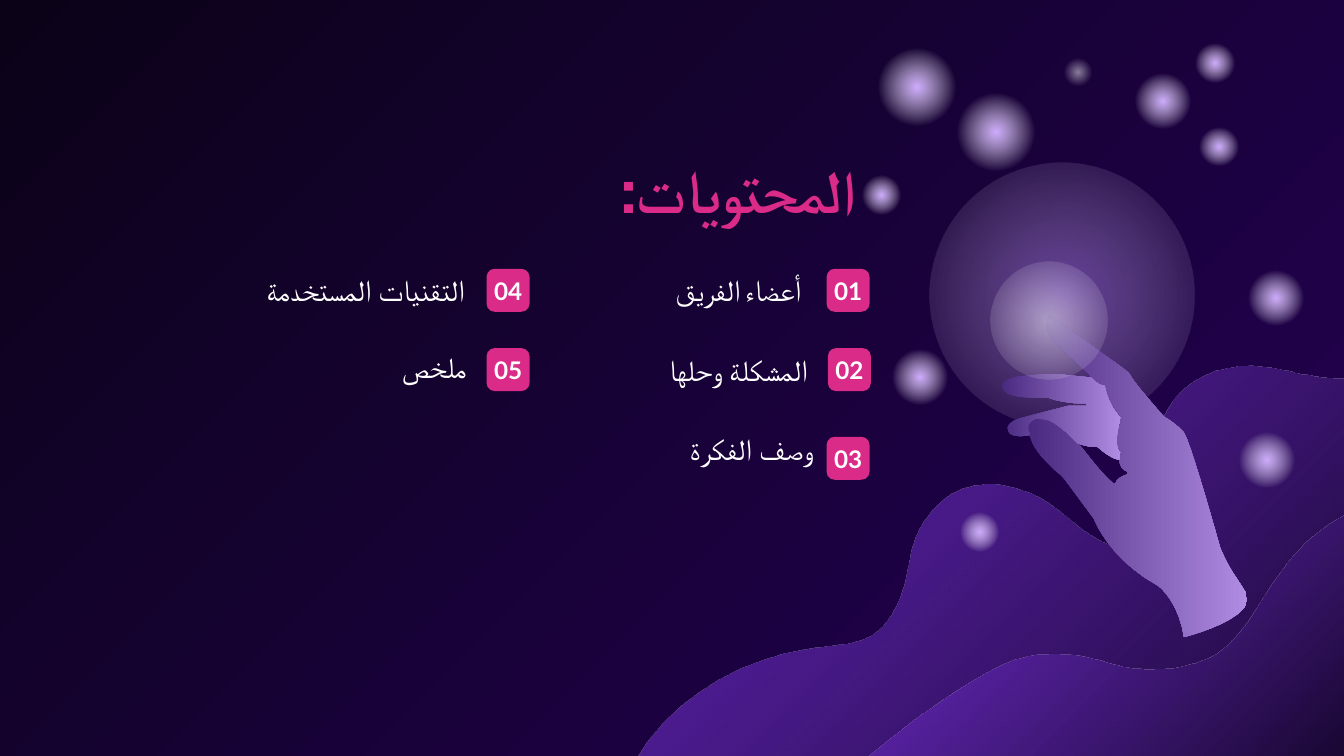
from dataclasses import dataclass

from lxml.etree import SubElement
from pptx import Presentation
from pptx.dml.color import RGBColor
from pptx.enum.shapes import MSO_SHAPE
from pptx.enum.text import MSO_ANCHOR, PP_ALIGN
from pptx.oxml.ns import qn
from pptx.util import Emu, Inches, Pt

FONT = "Lato"
PINK, WHITE, LILAC = "DA2B89", "FFFFFF", "CEABFF"
NIGHT, INDIGO, VIOLET = "0B0218", "240155", "8134EC"
SHADE, LIGHT = "4A2A80", "B08CE2"
CURVE_STEPS = 10

BACK_WAVE = [
    (1042, 265), (1033, 271, 1021, 278, 1011, 280), (995, 283, 979, 280, 963, 277),
    (952, 274, 940, 272, 929, 272), (901, 272, 877, 285, 865, 311),
    (853, 338, 870, 368, 853, 394), (834, 423, 805, 393, 787, 379),
    (767, 363, 733, 352, 708, 367), (697, 374, 687, 386, 682, 398),
    (676, 412, 676, 427, 671, 441), (667, 453, 658, 469, 645, 474),
    (631, 480, 616, 480, 602, 482), (543, 491, 487, 527, 464, 583),
    (461, 590, 457, 601, 458, 609), (1084, 609), (1075, 227),
    (1071, 240, 1053, 257, 1042, 265),
]
FRONT_WAVE = [
    (994, 387), (972, 400, 959, 416, 945, 437), (933, 455, 923, 475, 904, 487),
    (883, 498, 852, 501, 828, 494), (804, 486, 774, 482, 749, 493),
    (724, 504, 701, 521, 678, 537), (664, 548, 650, 559, 636, 571),
    (1074, 571), (1075, 368), (1070, 367, 1065, 366, 1059, 366),
    (1037, 366, 1012, 376, 994, 387),
]
PALM = [
    (881, 322), (886, 329, 908, 408, 908, 408), (915, 424, 917, 425, 927, 441),
    (937, 460, 881, 474, 881, 474), (877, 447, 862, 436, 862, 436),
    (825, 416, 814, 386, 814, 386), (814, 386, 800, 367, 794, 359),
    (792, 356, 789, 353, 785, 350), (778, 343, 769, 335, 766, 324),
    (763, 317, 767, 313, 770, 312), (772, 311, 775, 312, 777, 312),
    (785, 313, 796, 324, 802, 330), (804, 332, 805, 333, 805, 333),
    (828, 363, 830, 360, 830, 360), (831, 355, 839, 353, 839, 353),
    (839, 352, 839, 351, 839, 351), (834, 349, 833, 345, 833, 342),
    (833, 339, 834, 337, 834, 337), (827, 332, 834, 311, 834, 311),
    (824, 301, 822, 287, 822, 287), (818, 287, 814, 283, 812, 281),
    (811, 280, 811, 279, 811, 279), (811, 279, 788, 258, 783, 253),
    (775, 244, 781, 234, 781, 234), (796, 245), (796, 245, 823, 265, 826, 267),
    (830, 270, 838, 275, 841, 279), (843, 284, 866, 310, 866, 310),
    (875, 315, 880, 321, 881, 322),
]
FINGERS = [
    (834, 311), (834, 311, 827, 332, 834, 337), (834, 337, 833, 339, 833, 342),
    (827, 342, 816, 332, 816, 332), (813, 333, 808, 332, 802, 330),
    (796, 324, 785, 313, 777, 312), (775, 312, 772, 311, 770, 312),
    (767, 313, 763, 317, 766, 322), (766, 324), (758, 325, 751, 325, 750, 320),
    (748, 314, 760, 311, 760, 311), (795, 302), (809, 302), (808, 300),
    (804, 301, 787, 299, 780, 296), (764, 296, 749, 296, 746, 289),
    (743, 282, 759, 280, 759, 280), (783, 278), (812, 281),
    (814, 283, 818, 287, 822, 287), (822, 287, 824, 301, 834, 311),
]
ORBS = [
    (646, 29, 72), (840, 50, 51), (886, 29, 36), (659, 255, 51), (711, 378, 36),
    (638, 127, 36), (917, 317, 51), (705, 62, 72), (924, 196, 51), (889, 91, 36),
]
TOPICS = [
    ("01", "أعضاء الفريق", (468, 81), (318, 88, 140), 12.2),
    ("02", "المشكلة وحلها", (469, 140), (324, 147, 140), 16),
    ("03", "وصف الفكرة", (468, 206), (302, 206, 166), 16),
    ("04", "التقنيات المستخدمة", (215, 81), (0, 88, 209), 16),
    ("05", "ملخص", (215, 140), (121, 145, 89), 16),
]


@dataclass
class Box:
    left: int
    top: int
    width: int
    height: int
    columns: float
    rows: float

    def point(self, column, row):
        return (Emu(round(self.left + self.width * column / self.columns)),
                Emu(round(self.top + self.height * row / self.rows)))

    def area(self, column, row, columns, rows):
        return (*self.point(column, row),
                Emu(round(self.width * columns / self.columns)),
                Emu(round(self.height * rows / self.rows)))


def color(hex_text):
    return RGBColor.from_string(hex_text)


def paint_gradient(target, fill, stops, angle=None):
    fill.gradient()
    gradient = target.element.find(".//" + qn("a:gradFill"))
    for child in list(gradient):
        gradient.remove(child)
    gradient.set("rotWithShape", "1")
    stop_list = SubElement(gradient, qn("a:gsLst"))
    for position, tone, opacity in stops:
        stop = SubElement(stop_list, qn("a:gs"), pos=str(position * 1000))
        shade = SubElement(stop, qn("a:srgbClr"), val=tone)
        if opacity < 100:
            SubElement(shade, qn("a:alpha"), val=str(opacity * 1000))
    if angle is None:
        circle = SubElement(gradient, qn("a:path"), path="circle")
        SubElement(circle, qn("a:fillToRect"), l="50000", t="50000", r="50000", b="50000")
    else:
        SubElement(gradient, qn("a:lin"), ang=str(angle * 60000), scaled="0")


def clear_edges(shape):
    shape.shadow.inherit = False
    shape.line.fill.background()


def flatten(outline):
    points = [outline[0]]
    for segment in outline[1:]:
        if len(segment) == 2:
            points.append(segment)
            continue
        nodes = [points[-1], segment[:2], segment[2:4], segment[4:]]
        for step in range(1, CURVE_STEPS + 1):
            t = step / CURVE_STEPS
            weights = ((1 - t) ** 3, 3 * t * (1 - t) ** 2, 3 * t * t * (1 - t), t ** 3)
            points.append(tuple(sum(w * node[axis] for w, node in zip(weights, nodes))
                                for axis in (0, 1)))
    return points


def add_outline(page, box, outline, stops, angle):
    points = [box.point(*point) for point in flatten(outline)]
    builder = page.shapes.build_freeform(*points[0])
    builder.add_line_segments(points[1:], close=True)
    shape = builder.convert_to_shape()
    clear_edges(shape)
    paint_gradient(shape, shape.fill, stops, angle)


def add_glow(page, box, left, top, size, tone=LILAC, opacity=100, fade=57):
    shape = page.shapes.add_shape(MSO_SHAPE.OVAL, *box.area(left, top, size, size))
    clear_edges(shape)
    stops = [(0, tone, opacity), (fade, WHITE, 0), (100, WHITE, 0)]
    paint_gradient(shape, shape.fill, stops)


def write(shape, text, size, tone=WHITE, bold=False, align=PP_ALIGN.RIGHT,
          anchor=MSO_ANCHOR.BOTTOM, side=0.1, rtl=True, gap=None):
    frame = shape.text_frame
    frame.word_wrap = True
    frame.vertical_anchor = anchor
    frame.margin_left = frame.margin_right = Inches(side)
    frame.margin_top = frame.margin_bottom = Inches(0.1)
    para = frame.paragraphs[0]
    para.alignment = align
    if rtl:
        para._p.get_or_add_pPr().set("rtl", "1")
    pieces = text.partition(" ") if gap not in (None, size) else (text,)
    for piece in pieces:
        span = para.add_run()
        span.text = piece
        span.font.size = Pt(gap if piece == " " else size)
        span.font.bold = bold
        span.font.color.rgb = color(tone)
        span.font.name = FONT


def draw_waves(page, box):
    for outline in (BACK_WAVE, FRONT_WAVE):
        add_outline(page, box, outline, [(0, NIGHT, 100), (100, VIOLET, 69)], 225)


def draw_orbs(page, box):
    for orb in ORBS:
        add_glow(page, box, *orb)
    add_glow(page, box, 789, 41, 26, tone=WHITE, opacity=49)


def draw_hand(page, box):
    add_glow(page, box, 692, 121, 197, tone="B47FFF", opacity=49, fade=92)
    for outline in (PALM, FINGERS):
        add_outline(page, box, outline, [(0, SHADE, 100), (100, LIGHT, 100)], 0)
    add_glow(page, box, 737, 195, 87, tone=WHITE, opacity=49, fade=95)


def draw_agenda(page, box):
    title = page.shapes.add_textbox(*box.area(12, 0, 488, 59))
    write(title, "المحتويات:", 32, tone=PINK, bold=True)
    for number, topic, corner, (left, top, width), gap in TOPICS:
        label = page.shapes.add_textbox(*box.area(left, top, width, 32))
        write(label, topic, 16, gap=gap)
        badge = page.shapes.add_shape(MSO_SHAPE.ROUNDED_RECTANGLE, *box.area(*corner, 32, 32))
        badge.adjustments[0] = 0.19
        clear_edges(badge)
        badge.fill.solid()
        badge.fill.fore_color.rgb = color(PINK)
        write(badge, number, 13, bold=True, align=PP_ALIGN.CENTER,
              anchor=MSO_ANCHOR.MIDDLE, side=0, rtl=False)


def main():
    deck = Presentation()
    deck.slide_width = Inches(10)
    deck.slide_height = deck.slide_width * 9 // 16
    page = deck.slides.add_slide(deck.slide_layouts[6])
    paint_gradient(page, page.background.fill, [(0, NIGHT, 100), (100, INDIGO, 100)], 45)
    whole = Box(0, 0, deck.slide_width, deck.slide_height, 1000, 562.5)
    draw_waves(page, whole)
    draw_orbs(page, whole)
    draw_hand(page, whole)
    draw_agenda(page, Box(*whole.area(147, 119, 501, 238), 501, 238))
    deck.save("out.pptx")


if __name__ == "__main__":
    main()
